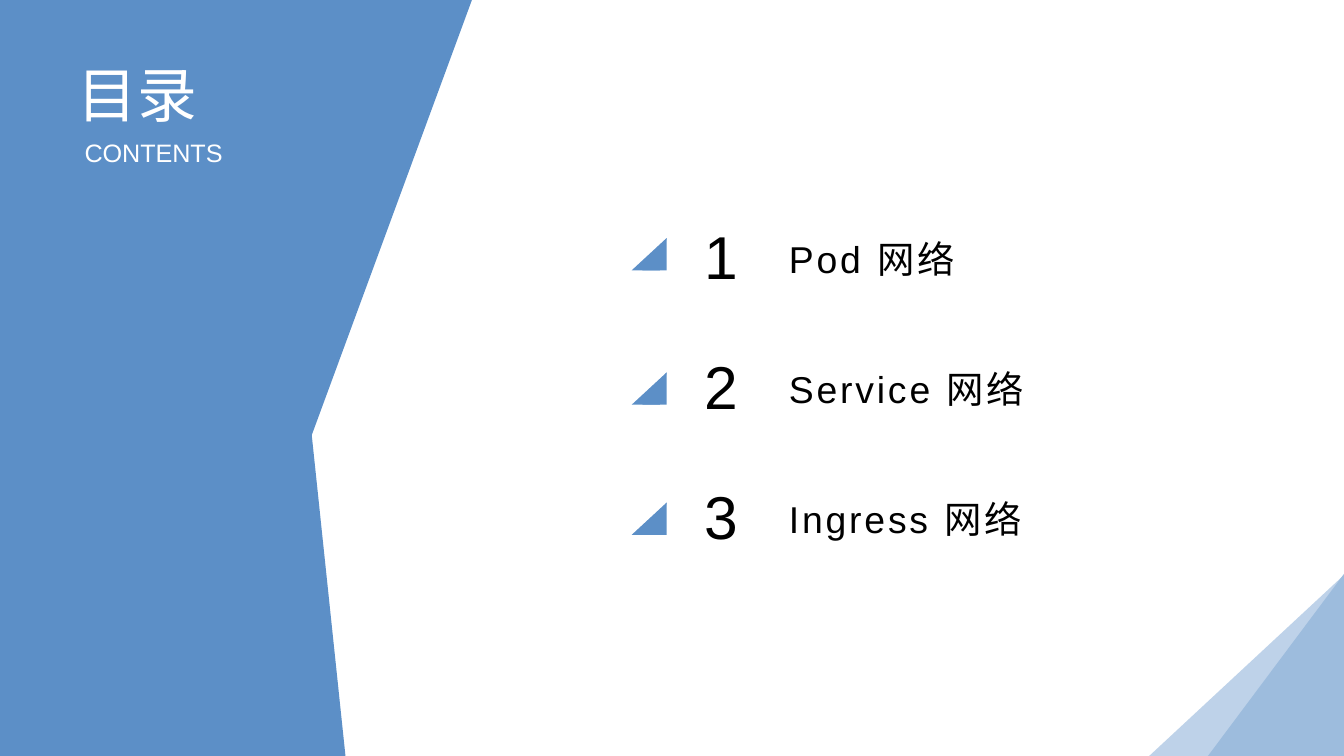
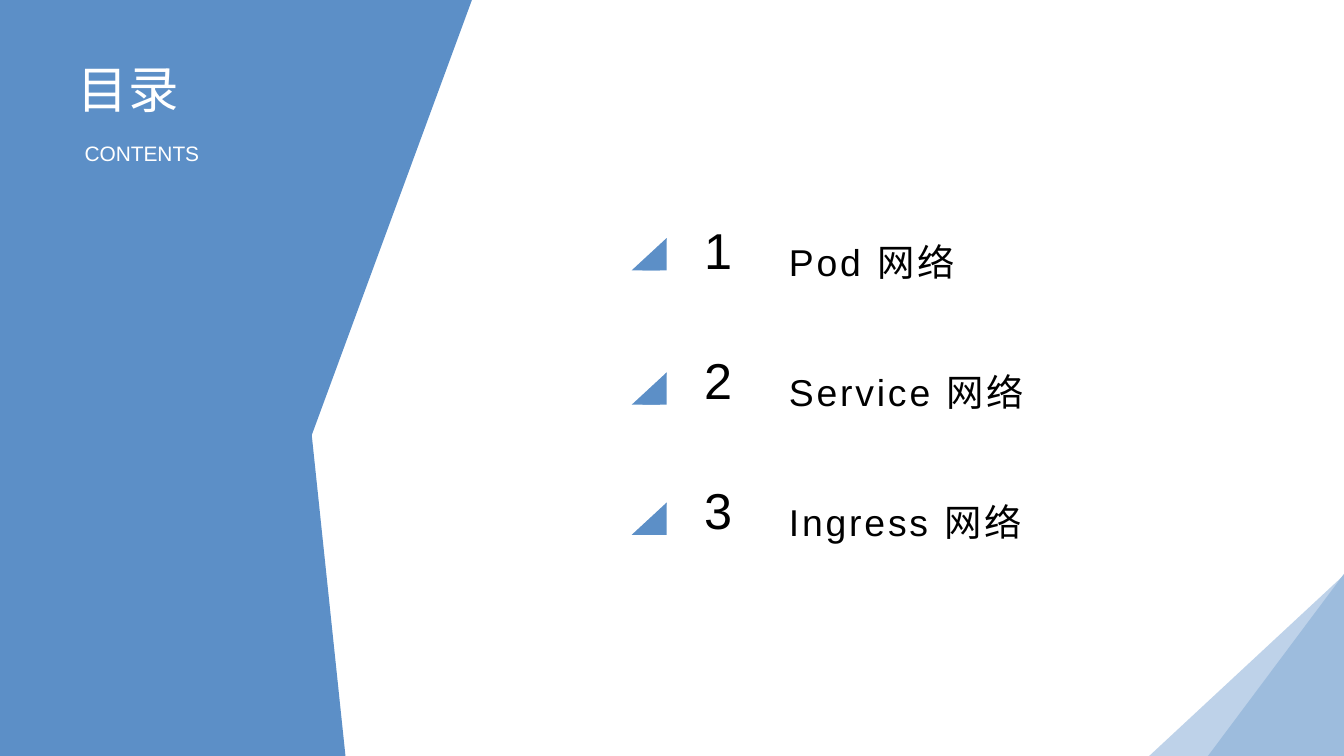
from dataclasses import dataclass

from pptx import Presentation
from pptx.dml.color import RGBColor
from pptx.enum.shapes import MSO_SHAPE
from pptx.enum.text import MSO_ANCHOR
from pptx.util import Cm, Pt

TRIANGLE = MSO_SHAPE.ISOSCELES_TRIANGLE
TOP, MIDDLE = MSO_ANCHOR.TOP, MSO_ANCHOR.MIDDLE
SLIDE_W, SLIDE_H = 25.4, 14.29  # all lengths in centimetres
Point = tuple[float, float]
Box = tuple[float, float, float, float]


@dataclass(frozen=True)
class Theme:
    font: str = "Arial"
    blue: str = "5C8FC7"
    mid_blue: str = "9DBCDD"
    pale_blue: str = "BED2E9"
    white: str = "FFFFFF"
    black: str = "000000"
    label_size: float = 20
    label_tracking: float = 1.5


@dataclass(frozen=True)
class ContentsStyle:
    """Type sizes and line spacing that differ between the contents slides."""
    title_size: float
    subtitle_size: float
    number_size: float
    line_spacing: float | None = None


@dataclass(frozen=True)
class Entry:
    label: str
    marker_top: float


THEME = Theme()
STYLES = [
    ContentsStyle(32, 13.5, 32.4, line_spacing=0.9),
    ContentsStyle(27, 11.2, 27),
]
ENTRIES = [
    Entry("Pod 网络", 4.5),
    Entry("Service 网络", 7.04),
    Entry("Ingress 网络", 9.5),
]
ENTRY_PITCH = 2.46
NUMBER_TOP, LABEL_TOP = 4.01, 4.08

SIDE_PANELS: list[list[Point]] = [
    [(0, 0), (6.88, 0), (3.58, SLIDE_H), (0, SLIDE_H)],
    [(8.92, 0), (3.66, SLIDE_H), (3.56, SLIDE_H), (6.83, 0)],
    [(5.89, 8.2), (6.53, SLIDE_H), (3.63, SLIDE_H)],
]


def paint(sp, color: str) -> None:
    sp.shadow.inherit = False
    sp.fill.solid()
    sp.fill.fore_color.rgb = RGBColor.from_string(color)
    sp.line.fill.background()


def add_polygon(slide, points: list[Point], color: str) -> None:
    vertices = [(Cm(x), Cm(y)) for x, y in points]
    builder = slide.shapes.build_freeform(*vertices[0])
    builder.add_line_segments(vertices[1:], close=True)
    paint(builder.convert_to_shape(), color)


def add_right_triangle(slide, box: Box, color: str) -> None:
    sp = slide.shapes.add_shape(TRIANGLE, *map(Cm, box))
    sp.adjustments[0] = 1
    paint(sp, color)


def add_text(slide, text: str, box: Box, *, size: float, color: str = THEME.black,
             anchor=TOP, line_spacing: float | None = None,
             tracking: float = 0) -> None:
    tf = slide.shapes.add_textbox(*map(Cm, box)).text_frame
    tf.word_wrap = True
    tf.vertical_anchor = anchor
    p = tf.paragraphs[0]
    p.line_spacing = line_spacing
    r = p.add_run()
    r.text = text
    r.font.name = THEME.font
    r.font.size = Pt(size)
    r.font.color.rgb = RGBColor.from_string(color)
    if tracking:
        r.font._element.set("spc", str(round(tracking * 100)))


def add_corner(slide) -> None:
    add_polygon(slide, [(SLIDE_W, 10.87), (24.69, SLIDE_H), (21.72, SLIDE_H)],
                THEME.pale_blue)
    add_right_triangle(slide, (22.83, 10.85, 2.57, 3.44), THEME.mid_blue)


def add_marker(slide, top: float) -> None:
    bottom = top + 0.61
    add_polygon(slide, [(12.6, top), (12.47, bottom), (11.94, bottom)], THEME.blue)
    add_right_triangle(slide, (12.14, top, 0.46, 0.61), THEME.blue)


def add_entry(slide, index: int, entry: Entry, style: ContentsStyle) -> None:
    offset = index * ENTRY_PITCH
    add_text(slide, str(index + 1), (13.06, NUMBER_TOP + offset, 1.09, 1.73),
             size=style.number_size)
    add_marker(slide, entry.marker_top)
    add_text(slide, entry.label, (14.66, LABEL_TOP + offset, 5.99, 1.73),
             size=THEME.label_size, anchor=MIDDLE,
             line_spacing=style.line_spacing, tracking=THEME.label_tracking)


def add_contents_slide(prs, style: ContentsStyle) -> None:
    slide = prs.slides.add_slide(prs.slide_layouts[6])
    add_corner(slide)
    for points in SIDE_PANELS:
        add_polygon(slide, points, THEME.blue)
    for index, entry in enumerate(ENTRIES):
        add_entry(slide, index, entry, style)
    add_text(slide, "目录", (1.22, 0.97, 2.92, 1.73),
             size=style.title_size, color=THEME.white)
    add_text(slide, "CONTENTS", (1.35, 2.54, 3.33, 0.84), size=style.subtitle_size,
             color=THEME.white, line_spacing=style.line_spacing)


def main() -> None:
    prs = Presentation()
    prs.slide_width, prs.slide_height = Cm(SLIDE_W), Cm(SLIDE_H)
    for style in STYLES:
        add_contents_slide(prs, style)
    prs.save("out.pptx")


if __name__ == "__main__":
    main()
